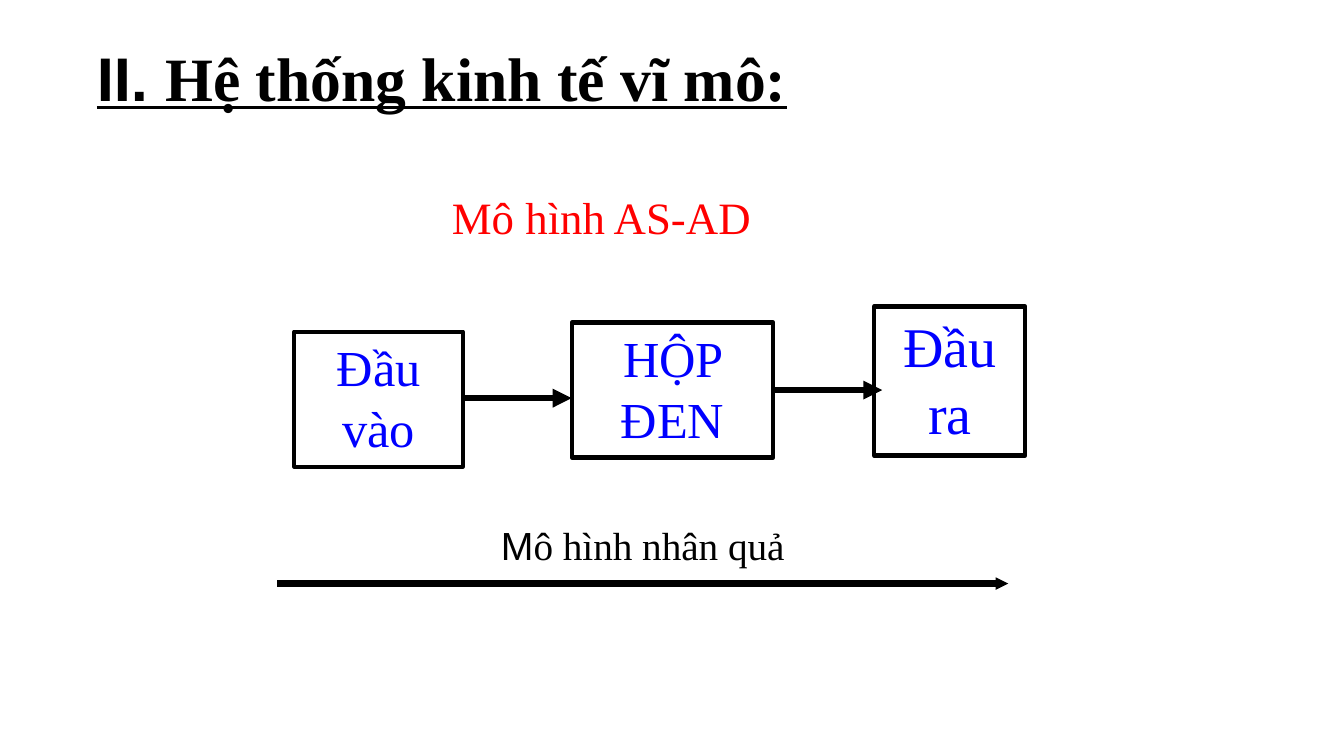
from lxml.etree import SubElement
from pptx import Presentation
from pptx.dml.color import RGBColor
from pptx.enum.shapes import MSO_CONNECTOR as LINE, MSO_SHAPE as SHAPE
from pptx.enum.text import MSO_ANCHOR as ANCHOR, MSO_AUTO_SIZE as FIT, PP_ALIGN as ALIGN
from pptx.oxml.ns import qn
from pptx.util import Inches, Pt

BLACK = RGBColor(0x00, 0x00, 0x00)
RED = RGBColor(0xFF, 0x00, 0x00)
BLUE = RGBColor(0x00, 0x00, 0xFF)
SANS, SERIF = "Arial", "Times New Roman"


def write(shape, parts, size, color, align=ALIGN.CENTER):
    """Fill a shape with one paragraph of (text, font) parts."""
    frame = shape.text_frame
    frame.word_wrap = True
    frame.auto_size = FIT.NONE
    para = frame.paragraphs[0]
    para.alignment = align
    for text, face in parts:
        run = para.add_run()
        run.text = text
        run.font.name = face
        run.font.size = Pt(size)
        run.font.color.rgb = color
    return para


prs = Presentation()
prs.slide_width, prs.slide_height = Inches(13.33), Inches(7.5)
slide = prs.slides.add_slide(prs.slide_layouts[5])
shapes = slide.shapes

# Title
title = shapes.title
title.left, title.top = Inches(0.86), Inches(0.28)
title.width, title.height = Inches(11.33), Inches(1.05)
title.text_frame.vertical_anchor = ANCHOR.MIDDLE
head = write(title, [("II. ", SANS), ("Hệ thống kinh tế vĩ mô:", SERIF)],
             44, BLACK, ALIGN.LEFT)
head.line_spacing = 0.9
for run in head.runs:
    run.font.bold = True
    run.font.underline = True

# Captions
captions = [
    ((3.72, 1.83, 4.49, 0.64), [("Mô hình AS-AD", SERIF)], 32, RED),
    ((3, 5.12, 6.75, 0.57), [("M", SANS), ("ô hình nhân quả", SERIF)], 28, BLACK),
]
for place, parts, size, color in captions:
    label = shapes.add_textbox(*map(Inches, place))
    write(label, parts, size, color)

# Input, black box and output
boxes = [
    ((2.92, 3.29, 1.67, 1.34), "Đầu vào", 36),
    ((5.67, 3.2, 2, 1.34), "HỘP ĐEN", 36),
    ((8.67, 3.04, 1.5, 1.48), "Đầu ra", 40),
]
for place, text, size in boxes:
    box = shapes.add_shape(SHAPE.RECTANGLE, *map(Inches, place))
    box.shadow.inherit = False
    box.fill.background()
    box.line.color.rgb = BLACK
    box.line.width = Pt(3)
    box.text_frame.vertical_anchor = ANCHOR.TOP
    write(box, [(text, SERIF)], size, BLUE)

# Arrows: start, end, height, head size
arrows = [(4.58, 5.67, 3.95, "med"), (7.67, 8.75, 3.87, "med"), (2.75, 10, 5.79, "sm")]
for start, end, y, size in arrows:
    arrow = shapes.add_connector(LINE.STRAIGHT, Inches(start), Inches(y), Inches(end), Inches(y))
    arrow.line.color.rgb = BLACK
    arrow.line.width = Pt(4.5)
    SubElement(arrow.line._get_or_add_ln(), qn("a:tailEnd"), type="triangle", w=size, len=size)
    SubElement(arrow._element.spPr, qn("a:effectLst"))

prs.save("out.pptx")
